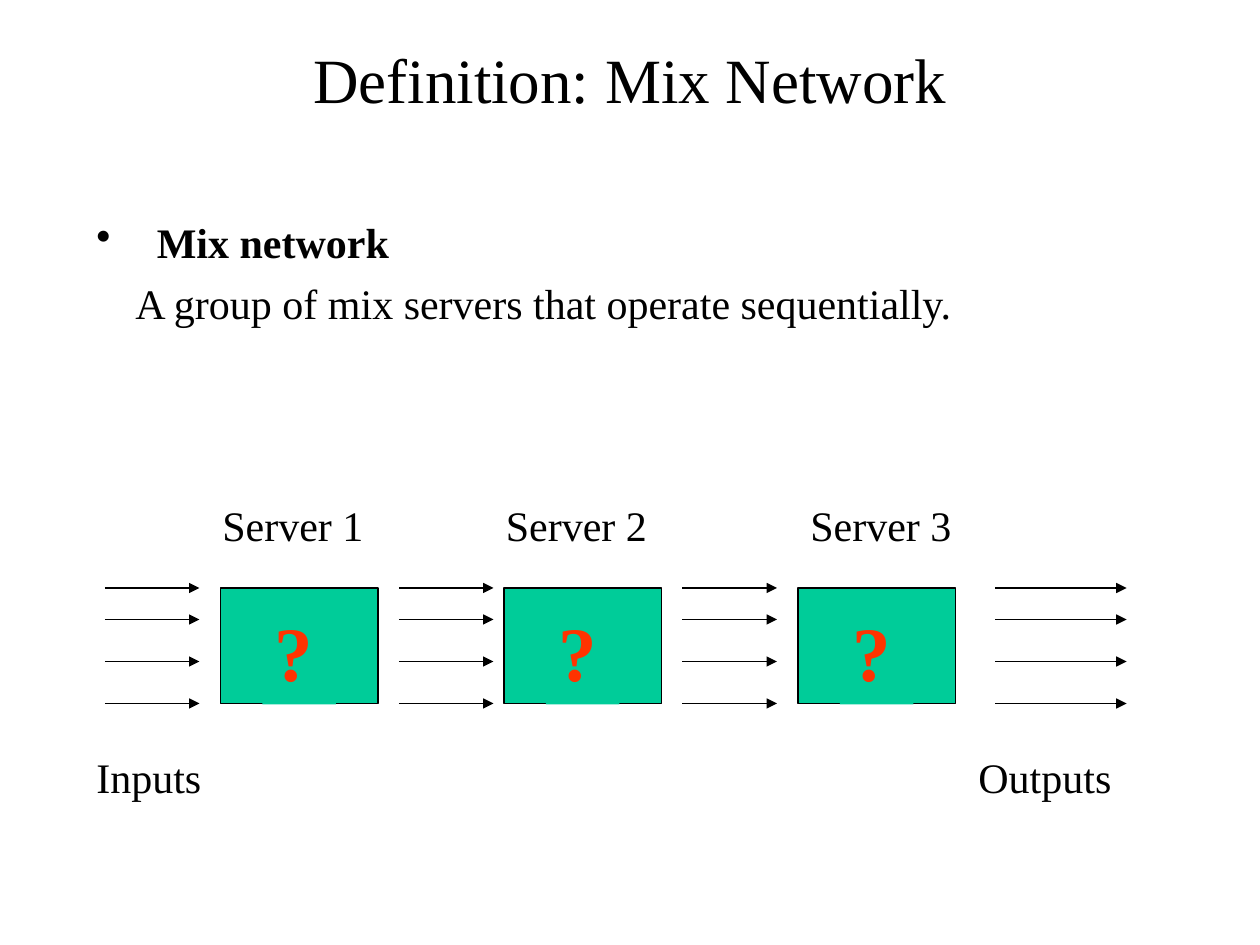
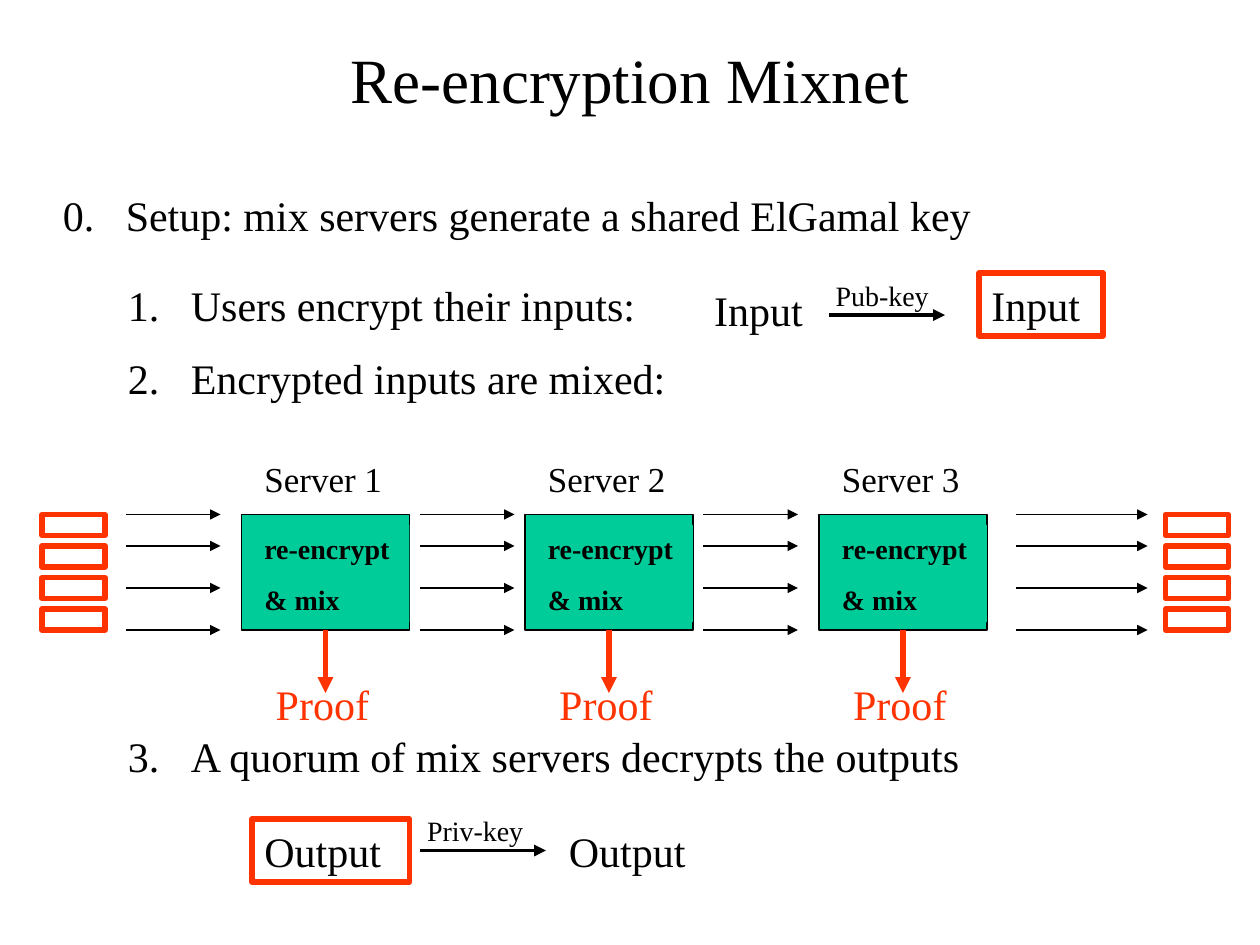
from lxml import etree
from pptx import Presentation
from pptx.dml.color import RGBColor
from pptx.enum.shapes import MSO_CONNECTOR as Conn, MSO_SHAPE as Kind
from pptx.enum.text import MSO_ANCHOR as Anchor, PP_ALIGN as Align
from pptx.oxml.ns import qn
from pptx.util import Inches, Pt

BLACK = RGBColor(0x00, 0x00, 0x00)
GREEN = RGBColor(0x00, 0xCC, 0x99)
RED = RGBColor(0xFF, 0x33, 0x00)
FONT = "Times New Roman"

# The slide is a grid of 120 columns by 90 rows; all places are in cells.
deck = Presentation()
deck.slide_width, deck.slide_height = Inches(10), Inches(7.5)
CELL = deck.slide_width / 120


def box(slide, at, lines=(), size=24, color=BLACK, bold=False, hang=0,
        gap=0, fill=None, edge=None, width=3):
    """Add a text box, or a rectangle if it has a fill or an edge.

    hang is the hanging indent in inches, gap the points between lines.
    """
    place = [round(n * CELL) for n in at]
    if fill is None and edge is None:
        shape = slide.shapes.add_textbox(*place)
    else:
        shape = slide.shapes.add_shape(Kind.RECTANGLE, *place)
        shape.shadow.inherit = False
        if fill is None:
            shape.fill.background()
        else:
            shape.fill.solid()
            shape.fill.fore_color.rgb = fill
        if edge is None:
            shape.line.fill.background()
        else:
            shape.line.color.rgb = edge
            shape.line.width = Pt(width)
    frame = shape.text_frame
    frame.word_wrap = True
    frame.vertical_anchor = Anchor.TOP
    for i, line in enumerate(lines):
        par = frame.add_paragraph() if i else frame.paragraphs[0]
        par.alignment = Align.LEFT
        par.space_before = Pt(gap if i else 0)
        if hang:
            props = par._p.get_or_add_pPr()
            props.set("marL", str(Inches(hang)))
            props.set("indent", str(-Inches(hang)))
        run = par.add_run()
        run.text = line
        run.font.name, run.font.size = FONT, Pt(size)
        run.font.bold, run.font.color.rgb = bold, color
    return shape


def arrow(slide, x, y, dx, dy=0, color=BLACK, width=0.75):
    ends = [round(n * CELL) for n in (x, y, x + dx, y + dy)]
    line = slide.shapes.add_connector(Conn.STRAIGHT, *ends)
    line.line.color.rgb = color
    line.line.width = Pt(width)
    etree.SubElement(line.line._get_or_add_ln(), qn("a:tailEnd"), type="triangle")
    etree.SubElement(line._element.spPr, qn("a:effectLst"))
    return line


# Titles
slides = []
for name in ("Definition: Mix Network", "Re-encryption Mixnet"):
    slide = deck.slides.add_slide(deck.slide_layouts[6])
    title = box(slide, (9, 4, 102, 7), [name], 36).text_frame
    title.vertical_anchor = Anchor.MIDDLE
    title.paragraphs[0].alignment = Align.CENTER
    slides.append(slide)
intro, mixnet = slides

# Arrows into, between and out of the servers, the same on both slides
for slide, left, top in ((intro, 0, 56), (mixnet, 2, 49)):
    for x, span in ((10, 9), (38, 9), (65, 9), (94.8, 12.5)):
        for row in (0, 3, 7, 11):
            arrow(slide, left + x, top + row, span)

# Slide 1: definition and servers
body = box(intro, (8, 20, 104, 12),
           ["Mix network", "A group of mix servers that operate sequentially."],
           gap=6).text_frame
head, note = body.paragraphs
head.runs[0].font.bold = True
props = head._p.get_or_add_pPr()
props.set("marL", str(Inches(0.48)))
props.set("indent", str(-Inches(0.48)))
etree.SubElement(props, qn("a:buChar"), char="•")
note._p.get_or_add_pPr().set("marL", str(Inches(0.31)))

for num, (x, tag) in enumerate(((21, 20), (48, 47), (76, 76)), 1):
    box(intro, (x, 56, 15, 11), fill=GREEN, edge=BLACK, width=0.75)
    box(intro, (tag, 47, 17, 6), [f"Server {num}"])
    box(intro, (x + 4, 57, 7, 10.08), ["?"], 44, RED, True, fill=GREEN)
box(intro, (8, 71, 13, 6), ["Inputs"])
box(intro, (92, 71, 18, 6), ["Outputs"])

# Slide 2: steps
for x, y, step in ((4.8, 17.5, "0.\tSetup: mix servers generate a shared ElGamal key"),
                   (11, 26, "1.\tUsers encrypt their inputs:"),
                   (11, 33, "2.\tEncrypted inputs are mixed:"),
                   (11, 69, "3.\tA quorum of mix servers decrypts the outputs")):
    box(mixnet, (x, y, 101 if y != 26 else 55, 6), [step], hang=0.5)

# Slide 2: encryption and decryption
box(mixnet, (66.84, 26.5, 12, 6), ["Input"])
box(mixnet, (93.25, 26, 11.8, 6), ["Input"], edge=RED)
arrow(mixnet, 79, 30, 11, width=2.25)
box(mixnet, (78.4, 25.9, 13, 4.4), ["Pub-key"], 16)
box(mixnet, (24, 78, 15, 6), ["Output"], edge=RED)
box(mixnet, (53, 78, 15, 6), ["Output"])
arrow(mixnet, 40, 81, 12, width=2.25)
box(mixnet, (39.5, 76.9, 13, 4.4), ["Priv-key"], 16)

# Slide 2: servers with proofs
for num, x in enumerate((23, 50, 78), 1):
    server = box(mixnet, (x, 49, 16, 11), fill=GREEN, edge=BLACK, width=0.75)
    box(mixnet, (x + 1, 43, 17, 5.3), [f"Server {num}"], 20)
    box(mixnet, (x + 1, 50, 15, 9.25), ["re-encrypt", "& mix"], 16,
        bold=True, gap=10, fill=GREEN)
    proof = arrow(mixnet, x + 8, 60, 0, 6, RED, 3)
    proof.begin_connect(server, 2)
    box(mixnet, (x + 2.08, 64, 12, 6), ["Proof"], color=RED)

# Slide 2: encrypted messages on both ends
for x in (4, 111):
    for row in range(4):
        box(mixnet, (x, 49 + 3 * row, 6, 2), edge=RED)

deck.save("out.pptx")
